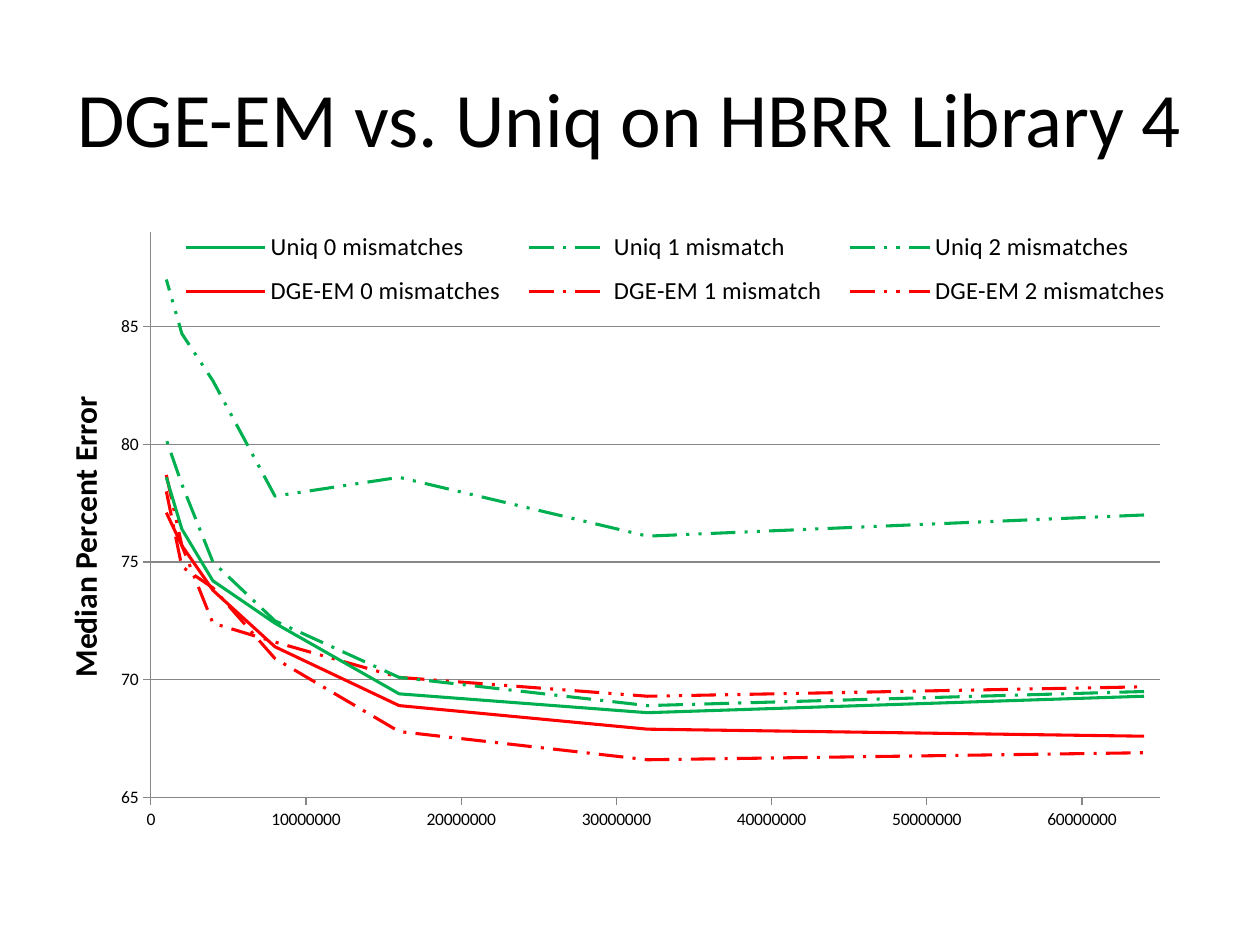
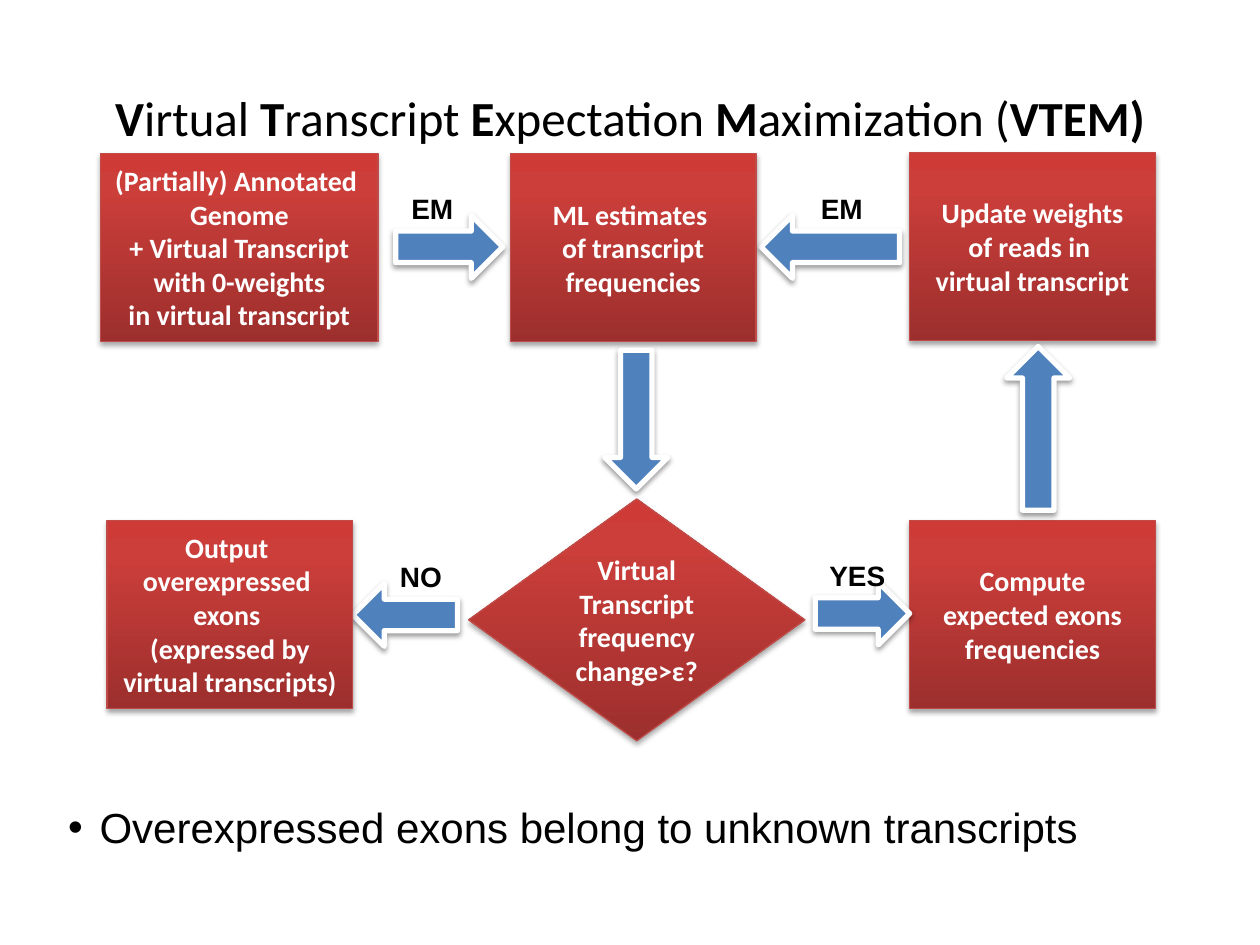
import pptx
import pptx.chart.data
import pptx.dml.color
import pptx.enum.chart
import pptx.enum.dml
import pptx.enum.shapes
import pptx.enum.text
import pptx.oxml
import pptx.oxml.ns
import pptx.util

Pt = pptx.util.Pt
qn = pptx.oxml.ns.qn
SHAPE = pptx.enum.shapes.MSO_SHAPE
DASH = pptx.enum.dml.MSO_LINE
ALIGN = pptx.enum.text.PP_ALIGN
ANCHOR = pptx.enum.text.MSO_ANCHOR
CHART = pptx.enum.chart

BLACK, WHITE, GRID = "000000", "FFFFFF", "878787"
GREEN, RED = "00B050", "FF0000"
ARROW_BLUE, BOX_EDGE = "4F81BD", "BF4C48"
BOX_STOPS = [(0, "9C2F2D"), (80, "CB3E3A"), (100, "CE3B37")]


def rgb(value):
    """Turn a hex string into a colour."""
    return pptx.dml.color.RGBColor.from_string(value)


def xml(tag, **attributes):
    """Make an XML element with the given attributes."""
    element = pptx.oxml.parse_xml(f'<{tag} {pptx.oxml.ns.nsdecls("a", "c")}/>')
    for name, value in attributes.items():
        element.set(name, str(value))
    return element


def place(parent, index, inner=False, **fractions):
    """Give a chart part a manual layout in fractions of the chart."""
    for old in parent.findall(qn("c:layout")):
        parent.remove(old)
    layout, manual = xml("c:layout"), xml("c:manualLayout")
    if inner:
        manual.append(xml("c:layoutTarget", val="inner"))
    for mode in ("xMode", "yMode"):
        manual.append(xml(f"c:{mode}", val="edge"))
    for name, value in fractions.items():
        manual.append(xml(f"c:{name}", val=value))
    layout.append(manual)
    parent.insert(index, layout)


class Deck:
    """Holds the shared style and the current slide."""

    def __init__(self):
        """Start an empty 4:3 presentation."""
        self.presentation = pptx.Presentation()
        self.presentation.slide_width = Pt(720)
        self.presentation.slide_height = Pt(540)
        self.slide = None

    def new_slide(self, layout):
        """Add a slide with the given layout number."""
        layouts = self.presentation.slide_layouts
        self.slide = self.presentation.slides.add_slide(layouts[layout])

    def font(self, font, size, color=BLACK, name="Calibri", bold=False):
        """Set the common font properties."""
        font.size, font.name, font.bold = Pt(size), name, bold
        font.color.rgb = rgb(color)

    def paragraphs(self, frame, text, size, color, name="Calibri", bold=True):
        """Fill a text frame with centred lines."""
        frame.text = text
        for paragraph in frame.paragraphs:
            paragraph.alignment = ALIGN.CENTER
            self.font(paragraph.font, size, color, name, bold)

    def title(self, parts, size):
        """Fill the title with (text, bold) parts."""
        holder = self.slide.shapes.title
        holder.left, holder.top, holder.width, holder.height = map(Pt, (36, 21.6, 648, 90))
        frame = holder.text_frame
        frame.auto_size = pptx.enum.text.MSO_AUTO_SIZE.NONE
        frame.vertical_anchor = ANCHOR.MIDDLE
        paragraph = frame.paragraphs[0]
        paragraph.alignment = ALIGN.CENTER
        self.font(paragraph.font, size)
        for text, bold in parts:
            run = paragraph.add_run()
            run.text, run.font.bold = text, bold

    def bullet(self, text, left, top, width, height):
        """Put one bullet line in the body placeholder."""
        body = self.slide.placeholders[1]
        body.left, body.top, body.width, body.height = map(Pt, (left, top, width, height))
        frame = body.text_frame
        frame.auto_size = pptx.enum.text.MSO_AUTO_SIZE.NONE
        frame.text = text
        paragraph = frame.paragraphs[0]
        properties = paragraph._p.get_or_add_pPr()
        properties.set("marL", str(Pt(18)))
        properties.set("indent", str(-Pt(18)))
        paragraph.space_before = Pt(0)
        self.font(paragraph.font, 24, name="Arial")

    def shape(self, kind, frame, edge, edge_width, distance, opacity):
        """Add a preset shape with an outline and a soft shadow below."""
        shape = self.slide.shapes.add_shape(kind, *map(Pt, frame))
        shape.line.color.rgb = rgb(edge)
        shape.line.width = Pt(edge_width)
        shape.shadow.inherit = False
        shadow = xml("a:outerShdw", blurRad=Pt(3.1), dist=Pt(distance), dir=5400000, rotWithShape=0)
        shade = xml("a:srgbClr", val=BLACK)
        shade.append(xml("a:alpha", val=opacity * 1000))
        shadow.append(shade)
        shape._element.spPr.find(qn("a:effectLst")).append(shadow)
        return shape

    def step(self, text, frame, kind=SHAPE.RECTANGLE):
        """Add a red flowchart step."""
        shape = self.shape(kind, frame, BOX_EDGE, 0.75, 1.8, 35)
        shape.fill.gradient()
        shape.fill.gradient_angle = 90
        stops = shape._element.spPr.find(qn("a:gradFill")).find(qn("a:gsLst"))
        for old in list(stops):
            stops.remove(old)
        for position, color in BOX_STOPS:
            stop = xml("a:gs", pos=position * 1000)
            stop.append(xml("a:srgbClr", val=color))
            stops.append(stop)
        label = shape.text_frame
        label.word_wrap = kind == SHAPE.DIAMOND
        label.vertical_anchor = ANCHOR.MIDDLE
        self.paragraphs(label, text, 16, WHITE)

    def arrow(self, kind, *frame):
        """Add a blue block arrow."""
        shape = self.shape(kind, frame, WHITE, 3, 1.6, 38)
        shape.fill.solid()
        shape.fill.fore_color.rgb = rgb(ARROW_BLUE)

    def label(self, text, left, top, width=41.8):
        """Add a bold arrow label."""
        box = self.slide.shapes.add_textbox(*map(Pt, (left, top, width, 26.6)))
        box.text_frame.word_wrap = True
        self.paragraphs(box.text_frame, text, 16, BLACK, "Arial")

    def axis(self, axis, low, high, unit):
        """Scale and style a chart axis."""
        axis.minimum_scale, axis.maximum_scale, axis.major_unit = low, high, unit
        axis.major_tick_mark = CHART.XL_TICK_MARK.OUTSIDE
        axis.minor_tick_mark = CHART.XL_TICK_MARK.NONE
        axis.tick_labels.number_format = "General"
        axis.tick_labels.number_format_is_linked = False
        axis.format.line.color.rgb = rgb(GRID)
        self.font(axis.tick_labels.font, 10)

    def error_chart(self, curves, frame):
        """Draw (name, depths, errors, colour, dash) curves as a line scatter chart."""
        data = pptx.chart.data.XyChartData()
        for name, depths, errors, _, _ in curves:
            series = data.add_series(name)
            for depth, error in zip(depths, errors):
                series.add_data_point(depth, error)
        kind = CHART.XL_CHART_TYPE.XY_SCATTER_LINES_NO_MARKERS
        chart = self.slide.shapes.add_chart(kind, *map(Pt, frame), data).chart
        chart.has_title = False
        self.font(chart.font, 10)
        chart.plots[0].vary_by_categories = False
        for series, (_, _, _, color, dash) in zip(chart.plots[0].series, curves):
            series.smooth = False
            series.format.line.color.rgb = rgb(color)
            series.format.line.width = Pt(1.75)
            series.format.line.dash_style = dash
        self.axis(chart.category_axis, 0, 65000000, 10000000)
        chart.category_axis.has_major_gridlines = False
        errors = chart.value_axis
        self.axis(errors, 65, 89, 5)
        errors.has_major_gridlines = True
        errors.major_gridlines.format.line.color.rgb = rgb(GRID)
        caption = errors.axis_title.text_frame
        caption.text = "Median Percent Error"
        self.font(caption.paragraphs[0].font, 18, bold=True)
        chart.has_legend = True
        chart.legend.position = CHART.XL_LEGEND_POSITION.RIGHT
        chart.legend.include_in_layout = False
        self.font(chart.legend.font, 14)
        root = chart._chartSpace
        place(root.find(".//" + qn("c:plotArea")), 0, inner=True, x=0.092, y=0.046, w=0.85, h=0.78)
        place(root.find(".//" + qn("c:legend")), 1, x=0.104, y=0.027, w=0.86, h=0.14)
        title = errors.axis_title._element
        place(title, 1, x=0.013, y=0.264)
        turned = title.find(".//" + qn("a:bodyPr"))
        turned.set("rot", "-5400000")
        turned.set("vert", "horz")


def build_comparison(deck):
    """Build the error comparison slide."""
    deck.new_slide(5)
    deck.title([("DGE-EM vs. Uniq on HBRR Library 4", False)], 44)
    rising = [1000000 * 2 ** doubling for doubling in range(7)]
    falling = rising[::-1]
    solid, dot, dots = DASH.SOLID, DASH.LONG_DASH_DOT, DASH.DASH_DOT_DOT
    deck.error_chart([
        ("Uniq 0 mismatches", falling, [69.3, 68.6, 69.4, 72.4, 74.2, 76.4, 78.6], GREEN, solid),
        ("Uniq 1 mismatch", falling, [69.5, 68.9, 70.1, 72.5, 75, 78.3, 80.2], GREEN, dot),
        ("Uniq 2 mismatches", falling, [77, 76.1, 78.6, 77.8, 82.7, 84.7, 87], GREEN, dots),
        ("DGE-EM 0 mismatches", rising, [77.1, 75.7, 73.8, 71.4, 68.9, 67.9, 67.6], RED, solid),
        ("DGE-EM 1 mismatch", rising, [78, 74.8, 73.9, 70.9, 67.8, 66.6, 66.9], RED, dot),
        ("DGE-EM 2 mismatches", rising, [78.7, 75.7, 72.4, 71.6, 70.1, 69.3, 69.7], RED, dots),
    ], (23.8, 113.8, 678.2, 414))


def build_flowchart(deck):
    """Build the VTEM flowchart slide."""
    deck.new_slide(1)
    deck.title([("V", True), ("irtual ", False), ("T", True), ("ranscript ", False),
                ("E", True), ("xpectation", False), (" M", True),
                ("aximization (", False), ("VTEM)", True)], 28)
    deck.bullet("Overexpressed exons belong to unknown transcripts", 31.7, 454.3, 600, 36)
    width, height = 140.4, 107.3
    upper, lower, right = 87.8, 297.4, 519.8
    deck.arrow(SHAPE.LEFT_ARROW, 434.9, 123.1, 79.2, 36)
    deck.step("ML estimates \nof transcript\nfrequencies", (291.6, upper, width, height))
    deck.step("Compute\nexpected exons\nfrequencies", (right, lower, width, height))
    deck.step("Update weights\nof reads in \nvirtual transcript", (right, 87.1, width, height))
    deck.arrow(SHAPE.RIGHT_ARROW, 226.1, 123.1, 61.2, 36)
    deck.arrow(SHAPE.DOWN_ARROW, 345.6, 200.2, 36, 79.2)
    deck.step("(Partially) Annotated \nGenome\n+ Virtual Transcript\nwith 0-weights\n"
              "in virtual transcript", (57.6, upper, 158.4, height))
    deck.arrow(SHAPE.LEFT_ARROW, 201.6, 333.4, 59.8, 36)
    deck.step("Virtual Transcript frequency change>ε?", (267.8, 285.1, 192.2, 138.2), SHAPE.DIAMOND)
    deck.arrow(SHAPE.RIGHT_ARROW, 465.8, 332.6, 54, 36)
    deck.step("Output \noverexpressed \nexons \n(expressed by\nvirtual transcripts)",
              (61.2, lower, width, height))
    deck.arrow(SHAPE.UP_ARROW, 575.3, 198, 36, 93.6)
    deck.label("EM", 226.1, 105.8)
    deck.label("EM", 460.1, 105.8)
    deck.label("YES", 465.8, 315.4, 48.2)
    deck.label("NO", 219.6, 316.1)


def main():
    """Build both slides and save them."""
    deck = Deck()
    build_comparison(deck)
    build_flowchart(deck)
    deck.presentation.save("out.pptx")


if __name__ == "__main__":
    main()
